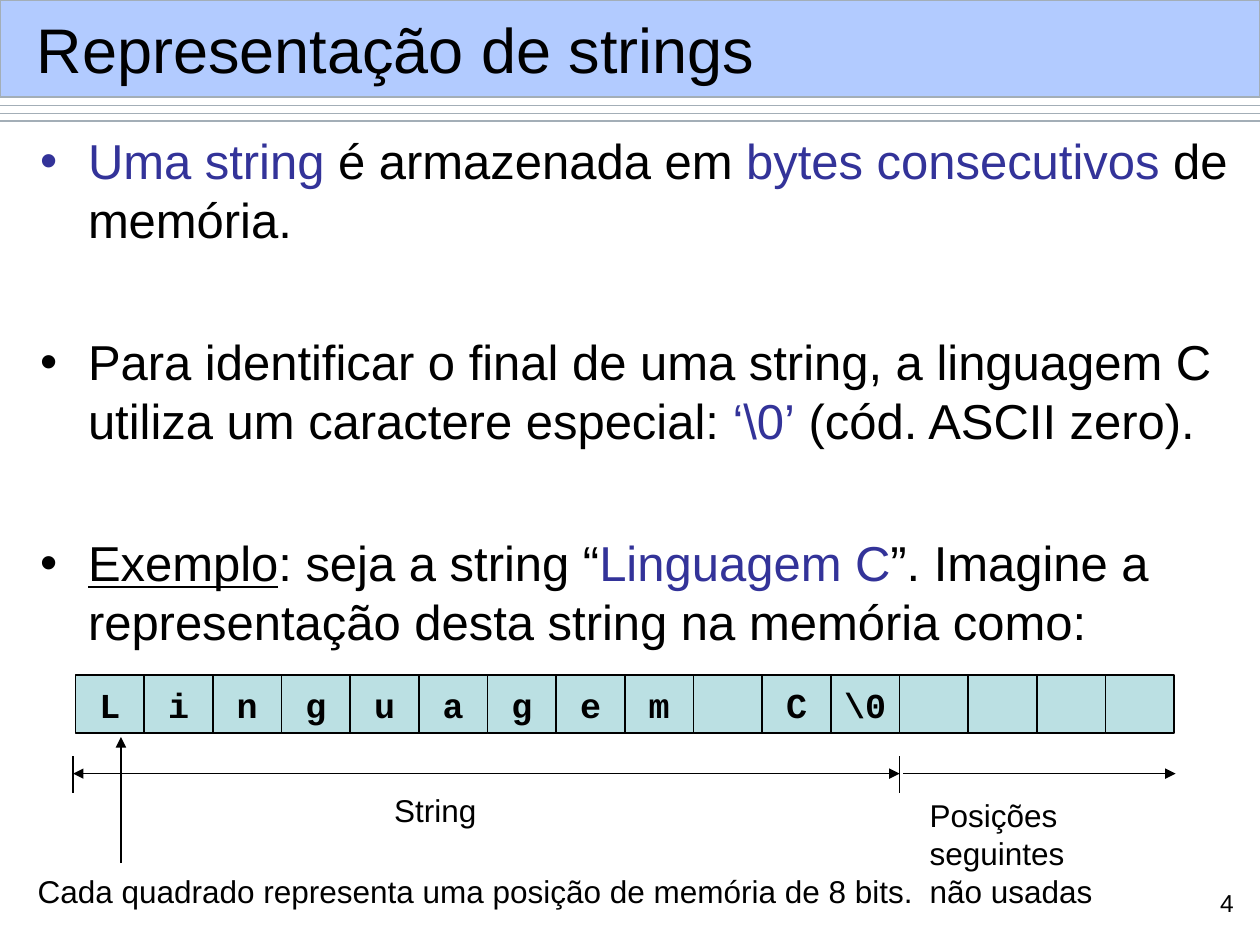
import pptx
import pptx.util
import pptx.dml.color
import pptx.enum.shapes
import pptx.enum.text
import pptx.oxml
import pptx.oxml.ns
from pptx.util import Inches, Pt

COLORS = {
    "black": "000000",
    "white": "FFFFFF",
    "accent": "333399",
    "banner": "6699FF",
    "rule": "A3AEB7",
    "cell": "BBE0E3",
}
ALIGN = pptx.enum.text.PP_ALIGN
SHAPE = pptx.enum.shapes.MSO_SHAPE
qn = pptx.oxml.ns.qn


def rgb(name):
    return pptx.dml.color.RGBColor.from_string(COLORS[name])


def add_run(p, text, size, color="black", font="Arial", bold=None, underline=None):
    r = p.add_run()
    r.text = text
    r.font.size = Pt(size)
    r.font.name = font
    r.font.bold = bold
    r.font.underline = underline
    r.font.color.rgb = rgb(color)


def add_rect(slide, x, y, w, h, fill, line, width):
    sp = slide.shapes.add_shape(SHAPE.RECTANGLE, Inches(x), Inches(y), Inches(w), Inches(h))
    sp.shadow.inherit = False
    sp.fill.solid()
    sp.fill.fore_color.rgb = rgb(fill)
    sp.line.color.rgb = rgb(line)
    sp.line.width = Pt(width)
    return sp


def add_line(slide, x1, y1, x2, y2, color="black", head=False, tail=False):
    cx = slide.shapes.add_connector(
        pptx.enum.shapes.MSO_CONNECTOR.STRAIGHT,
        Inches(x1), Inches(y1), Inches(x2), Inches(y2))
    cx.line.color.rgb = rgb(color)
    cx.line.width = Pt(0.75)
    ln = cx.line._get_or_add_ln()
    for tag, wanted in (("a:headEnd", head), ("a:tailEnd", tail)):
        if wanted:
            ln.append(pptx.oxml.parse_xml(
                f'<{tag} {pptx.oxml.ns.nsdecls("a")} type="triangle"/>'))
    cx._element.spPr.append(pptx.oxml.parse_xml(
        f'<a:effectLst {pptx.oxml.ns.nsdecls("a")}/>'))


def add_text(slide, x, y, w, h, lines, size=18, align=ALIGN.LEFT, wrap=False):
    tb = slide.shapes.add_textbox(Inches(x), Inches(y), Inches(w), Inches(h))
    tf = tb.text_frame
    tf.word_wrap = wrap
    for i, line in enumerate(lines):
        p = tf.paragraphs[0] if i == 0 else tf.add_paragraph()
        p.alignment = align
        add_run(p, line, size)


def add_header(slide, x, y, w, h):
    for i in range(3):
        rule_y = y + 0.84 + 0.06 * i
        add_line(slide, x, rule_y, x + w, rule_y, "rule")
    banner = add_rect(slide, x, y, w, h, "banner", "rule", 0.75)
    clr = banner.fill._xPr.find(qn("a:solidFill"))[0]
    clr.append(pptx.oxml.parse_xml(
        f'<a:alpha {pptx.oxml.ns.nsdecls("a")} val="50000"/>'))

    title = slide.shapes.title
    title.left, title.top = Inches(x + 0.19), Inches(y + 0.09)
    title.width, title.height = Inches(w - 0.36), Inches(0.59)
    slide.shapes._spTree.append(title._element)
    tf = title.text_frame
    tf.auto_size = pptx.enum.text.MSO_AUTO_SIZE.NONE
    tf.vertical_anchor = pptx.enum.text.MSO_ANCHOR.MIDDLE
    p = tf.paragraphs[0]
    p.alignment = ALIGN.LEFT
    add_run(p, "Representação de strings", 36)


def add_bullets(slide, x, y, w, h):
    bullets = [
        [("Uma string", "accent"), (" é armazenada em ", "black"),
         ("bytes consecutivos", "accent"), (" de memória.", "black")],
        [("Para identificar o final de uma string, a linguagem C utiliza um "
          "caractere especial: ", "black"),
         ("‘\\0’", "accent"), (" (cód. ASCII zero).", "black")],
        [("Exemplo", "black", True), (": seja a string “", "black"),
         ("Linguagem C", "accent"),
         ("”. Imagine a representação desta string na memória como:", "black")],
    ]
    tb = slide.shapes.add_textbox(Inches(x), Inches(y), Inches(w), Inches(h))
    tf = tb.text_frame
    tf.word_wrap = True
    for i, runs in enumerate(bullets):
        p = tf.paragraphs[0] if i == 0 else tf.add_paragraph()
        pPr = p._p.get_or_add_pPr()
        pPr.set("marL", str(Inches(0.38)))
        pPr.set("indent", str(Inches(-0.38)))
        for xml in (f'<a:buClr %s><a:srgbClr val="{COLORS[runs[0][1]]}"/></a:buClr>',
                    '<a:buFont %s typeface="Arial"/>',
                    '<a:buChar %s char="•"/>'):
            pPr.append(pptx.oxml.parse_xml(xml % pptx.oxml.ns.nsdecls("a")))
        if i:
            p.space_before = Pt(47.6)
        for text, color, *underline in runs:
            add_run(p, text, 28, color, underline=bool(underline))


def add_memory(slide, x, y, w, h):
    cells = [*"Linguagem", "", "C", "\\0", "", "", "", ""]
    step = w / len(cells)
    for i, char in enumerate(cells):
        sp = add_rect(slide, x + i * step, y, step, h, "cell", "black", 1)
        if char:
            tf = sp.text_frame
            tf.word_wrap = True
            p = tf.paragraphs[0]
            p.alignment = ALIGN.CENTER
            add_run(p, char, 20, font="Courier New", bold=True)


def add_captions(slide, x, y, w, h):
    split = x + 6.56
    arrow_y = y + 0.14
    add_line(slide, x, arrow_y, split, arrow_y, head=True, tail=True)
    for tick_x in (x, split):
        add_line(slide, tick_x, y, tick_x, y + 0.29)
    add_text(slide, x + 2.45, y + 0.23, 0.85, 0.4, ["String"])
    add_line(slide, split + 0.03, arrow_y, x + w, arrow_y, tail=True)
    add_text(slide, split + 0.14, y + 0.27, 2.35, 0.7,
             ["Posições seguintes", "não usadas"])
    add_line(slide, x + 0.38, y + 0.85, x + 0.38, y - 0.15, tail=True)
    add_text(slide, x - 0.38, y + h - 0.4, 7.15, 0.4,
             ["Cada quadrado representa uma posição de memória de 8 bits."])


def main():
    prs = pptx.Presentation()
    prs.slide_width, prs.slide_height = Inches(10), Inches(7.5)
    slide = prs.slides.add_slide(prs.slide_layouts[5])
    add_header(slide, 0, 0, 10, 0.77)
    add_bullets(slide, 0.22, 0.99, 9.68, 6.24)
    add_memory(slide, 0.6, 5.36, 8.72, 0.46)
    add_captions(slide, 0.58, 6, 8.75, 1.27)
    add_text(slide, 9.41, 7, 0.48, 0.36, ["4"], 14, ALIGN.RIGHT, wrap=True)
    prs.save("out.pptx")


if __name__ == "__main__":
    main()
